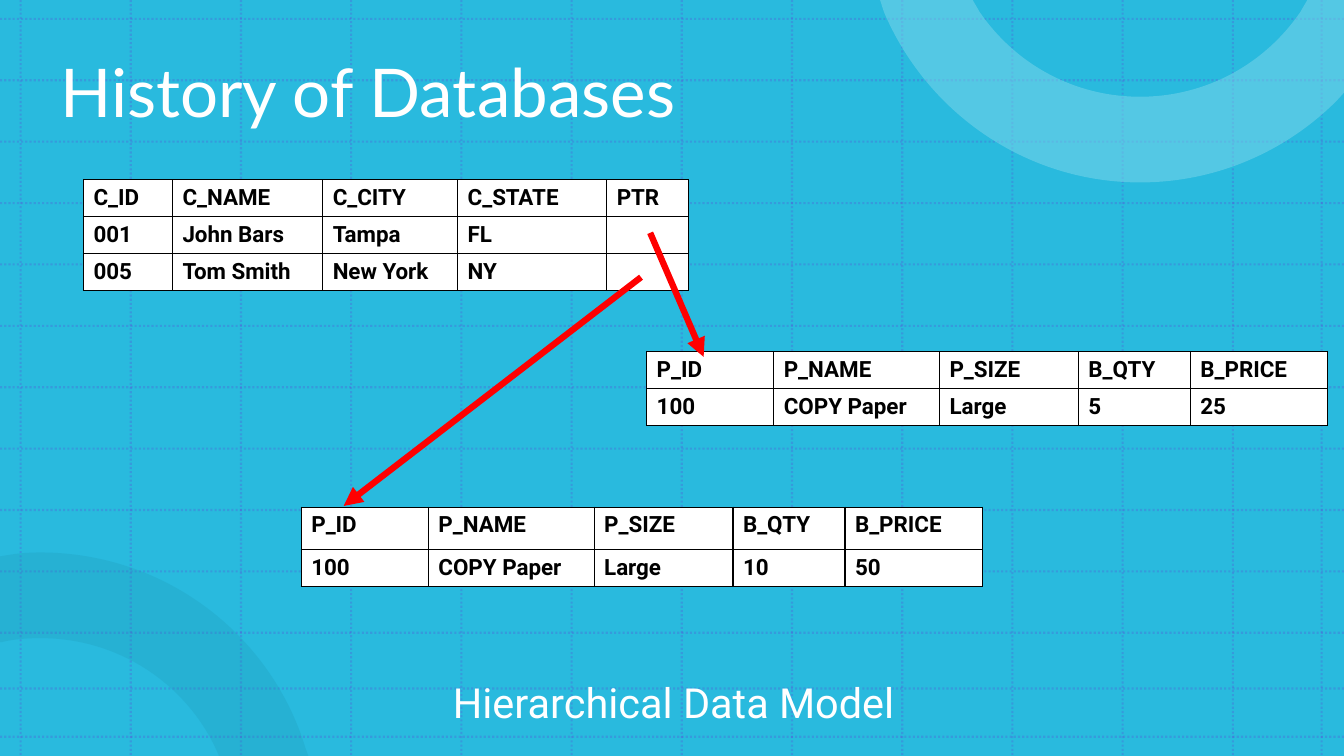
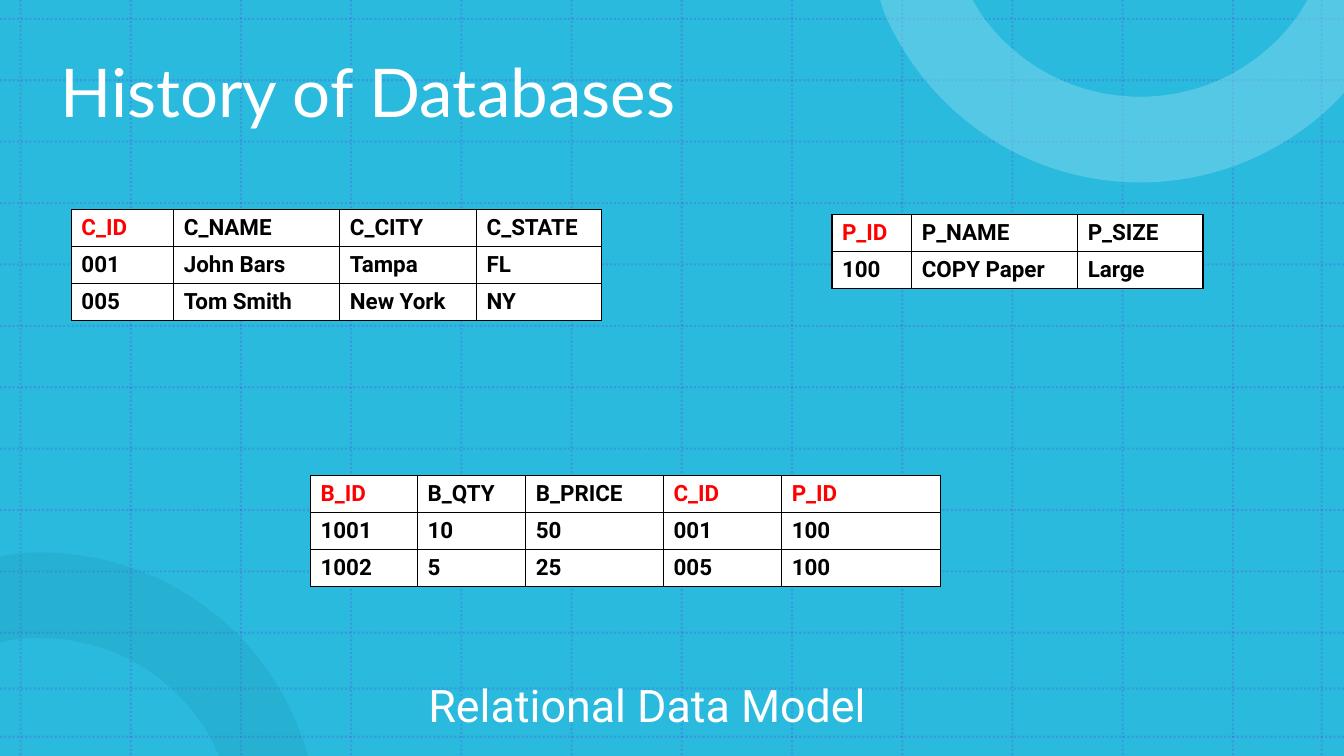
import lxml.etree
import pptx
import pptx.dml.color
import pptx.enum.dml
import pptx.enum.shapes
import pptx.enum.text
import pptx.oxml.ns
import pptx.util

Pt = pptx.util.Pt
WIDE, HIGH = 960, 540
BLUE, PURPLE, TEAL, PALE = "29BADE", "6E1BD4", "1A8EAB", "7FD6EB"
WHITE, BLACK, RED = "FFFFFF", "000000", "FF0000"

TITLE = {"name": "Lato", "size": Pt(48)}
LABEL = {"name": "Roboto"}
CELL = {"name": "Roboto", "size": Pt(16), "bold": True}

COLS = [14.7 + 78.72 * i for i in range(12)] + [944]
ROWS = [13.5 + 43.85 * i for i in range(11)] + [491.8, 526.3]
ROW = 26

# Outlines: a pair is a line's end, six numbers are a curve
LOW = ((28.8, 394.6),
       (118.1, 394.6, 193.7, 453.6, 218.2, 534.2),
       (220.3, 540), (156.2, 540), (156.2, 539.3),
       (135.4, 490.3, 86.4, 455.8, 28.8, 455.8),
       (19.4, 455.8, 10.1, 456.5, 1.4, 458.6),
       (0, 458.6), (0, 397.4), (8.6, 396),
       (15.1, 395, 22.3, 394.6, 28.8, 394.6))
TOP = ((628.6, 0), (694.8, 0), (699.8, 8.6),
       (725, 45.4, 766.8, 69.1, 814.3, 69.1),
       (861.8, 69.1, 903.6, 45.4, 928.8, 8.6),
       (933.8, 0), (960, 0), (960, 66.2), (954.7, 72),
       (918.7, 108, 869, 130.3, 814.3, 130.3),
       (732.2, 130.3, 661.7, 79.9, 631.4, 8.6))


def rgb(code):
    return pptx.dml.color.RGBColor.from_string(code)


def node(parent, tag, **attrs):
    """Append a DrawingML element."""
    return lxml.etree.SubElement(parent, pptx.oxml.ns.qn(tag), attrs)


def style(font, color, values):
    for name, value in values.items():
        setattr(font, name, value)
    font.color.rgb = rgb(color)


def paint(shape, color):
    shape.shadow.inherit = False
    shape.fill.solid()
    shape.fill.fore_color.rgb = rgb(color)
    shape.line.fill.background()


def fade(shape, percent):
    """Set the opacity of the shape's own colour."""
    color = shape._element.xpath(".//a:srgbClr")[0]
    node(color, "a:alpha", val=str(percent * 1000))


def rule(slide, start, end, color, width):
    line = slide.shapes.add_connector(
        pptx.enum.shapes.MSO_CONNECTOR.STRAIGHT,
        *(Pt(v) for v in (*start, *end)))
    line.line.color.rgb = rgb(color)
    line.line.width = Pt(width)
    node(line._element.spPr, "a:effectLst")
    return line


def dots(slide, start, end):
    line = rule(slide, start, end, PURPLE, 1.5)
    line.line.dash_style = pptx.enum.dml.MSO_LINE.ROUND_DOT
    fade(line, 20)


def arrow(slide, start, end):
    line = rule(slide, start, end, RED, 4.5)
    node(line.line._get_or_add_ln(), "a:tailEnd", type="triangle")


def ring(slide, steps, color, percent):
    """Draw a freeform, then bend each run of three lines into its curve."""
    points = [(Pt(x), Pt(y)) for step in steps
              for x, y in zip(step[::2], step[1::2])]
    build = slide.shapes.build_freeform(*points[0])
    build.add_line_segments(points[1:], close=True)
    shape = build.convert_to_shape()
    paint(shape, color)
    fade(shape, percent)
    lines = iter(shape._element.xpath(".//a:lnTo"))
    for step in steps[1:]:
        first = next(lines)
        if len(step) == 6:
            first.tag = pptx.oxml.ns.qn("a:cubicBezTo")
            for line in (next(lines), next(lines)):
                first.append(line[0])
                line.getparent().remove(line)


def backdrop(slide):
    """Draw the shared backdrop and hand it to the slide's layout."""
    layout = slide.slide_layout
    for holder in list(layout.placeholders):
        holder._element.getparent().remove(holder._element)
    back = slide.shapes.add_shape(
        pptx.enum.shapes.MSO_SHAPE.RECTANGLE, 0, 0, Pt(WIDE), Pt(HIGH))
    paint(back, BLUE)
    for x in COLS:
        dots(slide, (x, 0), (x, HIGH))
    for y in ROWS:
        dots(slide, (0, y), (WIDE, y))
    ring(slide, LOW, TEAL, 20)
    ring(slide, TOP, PALE, 50)
    for shape in list(slide.shapes):
        layout.shapes._spTree.append(shape._element)


def label(slide, words, place, values, space, inset=7.2, middle=False):
    box = slide.shapes.add_textbox(*(Pt(v) for v in place))
    frame = box.text_frame
    frame.word_wrap = True
    frame.margin_left = Pt(inset)
    if middle:
        frame.vertical_anchor = pptx.enum.text.MSO_ANCHOR.MIDDLE
    para = frame.paragraphs[0]
    para.line_spacing = space
    run = para.add_run()
    run.text = words
    style(run.font, WHITE, values)


def fill(cell, words, color):
    cell.fill.solid()
    cell.fill.fore_color.rgb = rgb(WHITE)
    para = cell.text_frame.paragraphs[0]
    if words:
        run = para.add_run()
        run.text = words
        style(run.font, color, CELL)
    else:
        node(para._p, "a:endParaRPr", sz="1600")
    props = cell._tc.get_or_add_tcPr()
    for at, side in enumerate(("a:lnL", "a:lnR", "a:lnT", "a:lnB")):
        line = node(props, side, w=str(Pt(1)))
        node(node(line, "a:solidFill"), "a:srgbClr", val=BLACK)
        props.insert(at, line)


def grid(slide, left, top, widths, lines, keys=(), head=ROW):
    """Add a table from lines split at bars; keys are the red head columns."""
    data = [line.split("|") for line in lines]
    heights = [head] + [ROW] * (len(data) - 1)
    table = slide.shapes.add_table(
        len(data), len(widths), Pt(left), Pt(top),
        Pt(sum(widths)), Pt(sum(heights))).table
    table.first_row = table.horz_banding = False
    for col, width in zip(table.columns, widths):
        col.width = Pt(width)
    for r, (row, height) in enumerate(zip(table.rows, heights)):
        row.height = Pt(height)
        for c, words in enumerate(data[r]):
            key = r == 0 and c in keys
            fill(table.cell(r, c), words, RED if key else BLACK)


def heads(slide, name, left, size, inset):
    """Add the shared title and the name of the model."""
    label(slide, "History of Databases", (36, 16.2, 844.6, 104.4),
          TITLE, 0.9, middle=True)
    label(slide, name, (left, 476.6, 663 - left, 46.8),
          {**LABEL, "size": Pt(size)}, 1.1, inset)


def tree(slide):
    heads(slide, "Hierarchical Data Model", 309, 29.6, 14.5)
    order = (90.8, 118.4, 99.2, 80, 98)
    head = "P_ID|P_NAME|P_SIZE|B_QTY|B_PRICE"
    grid(slide, 59.6, 128.3, (63.6, 107.3, 96.4, 106.5, 58.4),
         ("C_ID|C_NAME|C_CITY|C_STATE|PTR",
          "001|John Bars|Tampa|FL|",
          "005|Tom Smith|New York|NY|"))
    grid(slide, 461.9, 251, order, (head, "100|COPY Paper|Large|5|25"))
    arrow(slide, (464.4, 166.3), (502.6, 254.9))
    arrow(slide, (457.9, 198), (245.5, 361.4))
    grid(slide, 215.2, 362.2, order, (head, "100|COPY Paper|Large|10|50"),
         head=30.5)


def links(slide):
    heads(slide, "Relational Data Model", 290.9, 32, 15.1)
    grid(slide, 51, 149.7, (73.2, 118.6, 97.7, 89.2),
         ("C_ID|C_NAME|C_CITY|C_STATE",
          "001|John Bars|Tampa|FL",
          "005|Tom Smith|New York|NY"), keys=(0,))
    grid(slide, 594.3, 153.2, (57, 118.5, 89.5),
         ("P_ID|P_NAME|P_SIZE", "100|COPY Paper|Large"), keys=(0,))
    grid(slide, 221.8, 339.7, (76.4, 77.4, 98.4, 84.4, 113.4),
         ("B_ID|B_QTY|B_PRICE|C_ID|P_ID",
          "1001|10|50|001|100",
          "1002|5|25|005|100"), keys=(0, 3, 4))


def main():
    deck = pptx.Presentation()
    deck.slide_width, deck.slide_height = Pt(WIDE), Pt(HIGH)
    blank = deck.slide_layouts[6]
    first, second = (deck.slides.add_slide(blank) for _ in range(2))
    backdrop(first)
    tree(first)
    links(second)
    deck.save("out.pptx")


if __name__ == "__main__":
    main()
